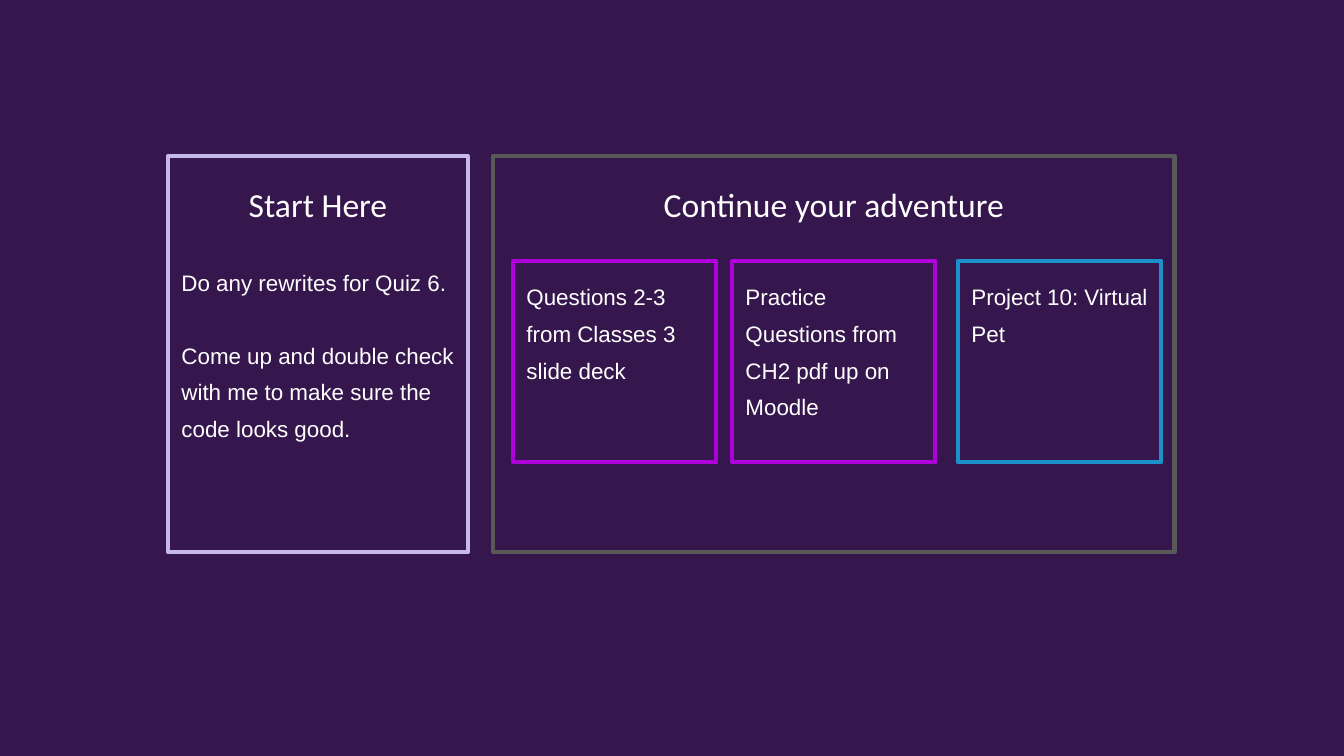
from lxml.etree import SubElement
from pptx import Presentation
from pptx.dml.color import RGBColor
from pptx.enum.shapes import MSO_SHAPE
from pptx.enum.text import MSO_ANCHOR, PP_ALIGN
from pptx.oxml.ns import qn
from pptx.util import Cm, Pt

PLUM = RGBColor(0x36, 0x17, 0x4D)
WHITE = RGBColor(0xFF, 0xFF, 0xFF)
LAVENDER = RGBColor(0xC6, 0xB8, 0xEB)
GREY = RGBColor(0x59, 0x59, 0x59)
VIOLET = RGBColor(0xAF, 0x00, 0xDB)
BLUE = RGBColor(0x1B, 0x91, 0xCA)

CARD_SIZE = (3.84, 3.81)
CARD_TOP = 1.98
BLANK_LINE = 19.2


def add_frame(slide, box, color):
    frame = slide.shapes.add_shape(MSO_SHAPE.RECTANGLE, *map(Cm, box))
    frame.shadow.inherit = False
    frame.fill.background()
    frame.line.color.rgb = color
    frame.line.width = Pt(2.25)
    SubElement(frame.line._get_or_add_ln(), qn("a:round"))
    text = frame.text_frame
    text.word_wrap = True
    text.vertical_anchor = MSO_ANCHOR.TOP
    text.margin_left = text.margin_right = Cm(0.25)
    text.margin_top = text.margin_bottom = Cm(0.25)
    return text


def write(frame, text, font="Arial", size=12, align=PP_ALIGN.LEFT, before=0):
    first = frame.paragraphs[0]
    paragraph = frame.add_paragraph() if first.runs else first
    paragraph.alignment = align
    paragraph.line_spacing = 1.36
    if before:
        paragraph.space_before = Pt(before)
    run = paragraph.add_run()
    run.text = text
    run.font.name = font
    run.font.size = Pt(size)
    run.font.color.rgb = WHITE


def write_heading(frame, text):
    write(frame, text, font="Calibri", size=18, align=PP_ALIGN.CENTER)


def add_start(slide, box):
    start = add_frame(slide, box, LAVENDER)
    write_heading(start, "Start Here")
    for step in (
        "Do any rewrites for Quiz 6.",
        "Come up and double check with me to make sure the code looks good.",
    ):
        write(start, step, before=BLANK_LINE)


def add_adventure(slide, box):
    left, top, _, _ = box
    write_heading(add_frame(slide, box, GREY), "Continue your adventure")
    for offset, color, task in (
        (0.38, VIOLET, "Questions 2-3 from Classes 3 slide deck"),
        (4.52, VIOLET, "Practice Questions from CH2 pdf up on Moodle"),
        (8.79, BLUE, "Project 10: Virtual Pet"),
    ):
        card = add_frame(slide, (left + offset, top + CARD_TOP, *CARD_SIZE), color)
        write(card, task)


def main():
    deck = Presentation()
    deck.slide_width = Cm(25.4)
    deck.slide_height = Cm(14.29)
    slide = deck.slides.add_slide(deck.slide_layouts[6])
    slide.background.fill.solid()
    slide.background.fill.fore_color.rgb = PLUM
    add_start(slide, (3.18, 2.95, 5.66, 7.49))
    add_adventure(slide, (9.32, 2.95, 12.88, 7.49))
    deck.save("out.pptx")


if __name__ == "__main__":
    main()
